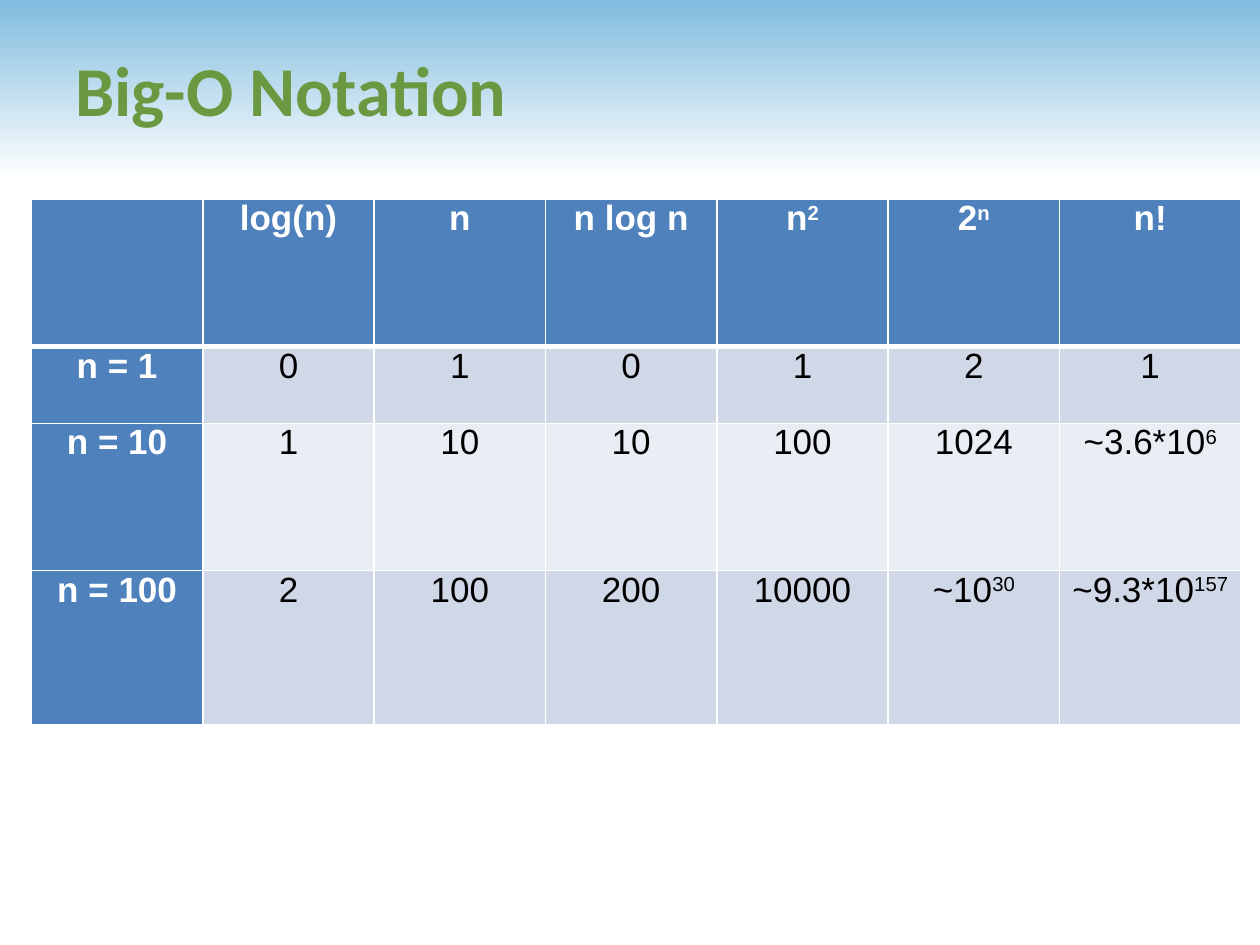
from lxml import etree
from pptx import Presentation
from pptx.dml.color import RGBColor
from pptx.enum.shapes import MSO_SHAPE
from pptx.enum.text import MSO_ANCHOR, PP_ALIGN
from pptx.oxml.ns import qn
from pptx.util import Inches, Pt

BAND = MSO_SHAPE.PENTAGON
MIDDLE, CENTER = MSO_ANCHOR.MIDDLE, PP_ALIGN.CENTER

TITLE = "Big-O Notation"
# A caret marks the start of a superscript.
ROWS = [
    ["", "log(n)", "n", "n log n", "n^2", "2^n", "n!"],
    ["n = 1", "0", "1", "0", "1", "2", "1"],
    ["n = 10", "1", "10", "10", "100", "1024", "~3.6*10^6"],
    ["n = 100", "2", "100", "200", "10000", "~10^30", "~9.3*10^157"],
]
WIDTHS = [1.36] * 6 + [1.44]
HEIGHTS = [1.17, 0.61, 1.17, 1.22]


def rgb(code):
    return RGBColor.from_string(code)


THEME = {
    "sky": ["80BCDE", "FFFFFF"],
    "head": "4F81BD",
    "bands": ["E9EDF4", "D0D8E8"],
    "rule": "FFFFFF",
    "title": {"name": "Calibri", "size": Pt(40), "bold": True},
    "title_ink": "6B9941",
    "label": {"name": "Arial", "size": Pt(20), "bold": True},
    "label_ink": "FFFFFF",
    "value": {"name": "Arial", "size": Pt(20), "bold": False},
    "value_ink": "000000",
}
INSETS = {
    "margin_left": Inches(0.07), "margin_right": Inches(0.07),
    "margin_top": 0, "margin_bottom": 0,
}


def assign(target, values):
    for name, value in values.items():
        setattr(target, name, value)


def write(para, text, role):
    """Add text in a theme role, raising whatever follows a caret."""
    for pos, part in enumerate(text.split("^")):
        run = para.add_run()
        run.text = part
        assign(run.font, THEME[role])
        run.font.color.rgb = rgb(THEME[role + "_ink"])
        if pos:
            run._r.get_or_add_rPr().set("baseline", "30000")


def border(cell, sides):
    """Draw cell rules; sides maps L, R, T, B to a width in points."""
    props = cell._tc.get_or_add_tcPr()
    for side, width in sides.items():
        line = etree.SubElement(props, qn("a:ln" + side), w=str(Pt(width)))
        fill = etree.SubElement(line, qn("a:solidFill"))
        etree.SubElement(fill, qn("a:srgbClr"), val=THEME["rule"])


def add_sky(slide):
    sky = slide.shapes.add_shape(BAND, 0, 0, Inches(10), Inches(1.42))
    sky.adjustments[0] = 0
    sky.shadow.inherit = False
    sky.line.fill.background()
    sky.fill.gradient()
    sky.fill.gradient_angle = 270
    for stop, code in zip(sky.fill.gradient_stops, THEME["sky"]):
        stop.color.rgb = rgb(code)


def add_title(slide):
    box = slide.shapes.add_textbox(
        Inches(0.5), Inches(0.08), Inches(9.08), Inches(1.25))
    frame = box.text_frame
    assign(frame, {"word_wrap": True, "vertical_anchor": MIDDLE})
    write(frame.paragraphs[0], TITLE, "title")


def add_growth(slide):
    table = slide.shapes.add_table(
        len(ROWS), len(WIDTHS), Inches(0.25), Inches(1.58),
        Inches(sum(WIDTHS)), Inches(sum(HEIGHTS))).table
    for col, width in zip(table.columns, WIDTHS):
        col.width = Inches(width)
    for row, height in zip(table.rows, HEIGHTS):
        row.height = Inches(height)
    for r, texts in enumerate(ROWS):
        sides = {"L": 1, "R": 1, "T": 3 if r == 1 else 1, "B": 1 if r else 3}
        for c, text in enumerate(texts):
            cell = table.cell(r, c)
            head = r == 0 or c == 0
            assign(cell, INSETS)
            border(cell, sides)
            cell.fill.solid()
            cell.fill.fore_color.rgb = rgb(
                THEME["head"] if head else THEME["bands"][r % 2])
            para = cell.text_frame.paragraphs[0]
            para.alignment = CENTER
            if text:
                write(para, text, "label" if head else "value")


def main():
    deck = Presentation()
    assign(deck, {"slide_width": Inches(10), "slide_height": Inches(7.5)})
    slide = deck.slides.add_slide(deck.slide_layouts[6])
    add_sky(slide)
    add_title(slide)
    add_growth(slide)
    deck.save("out.pptx")


if __name__ == "__main__":
    main()
